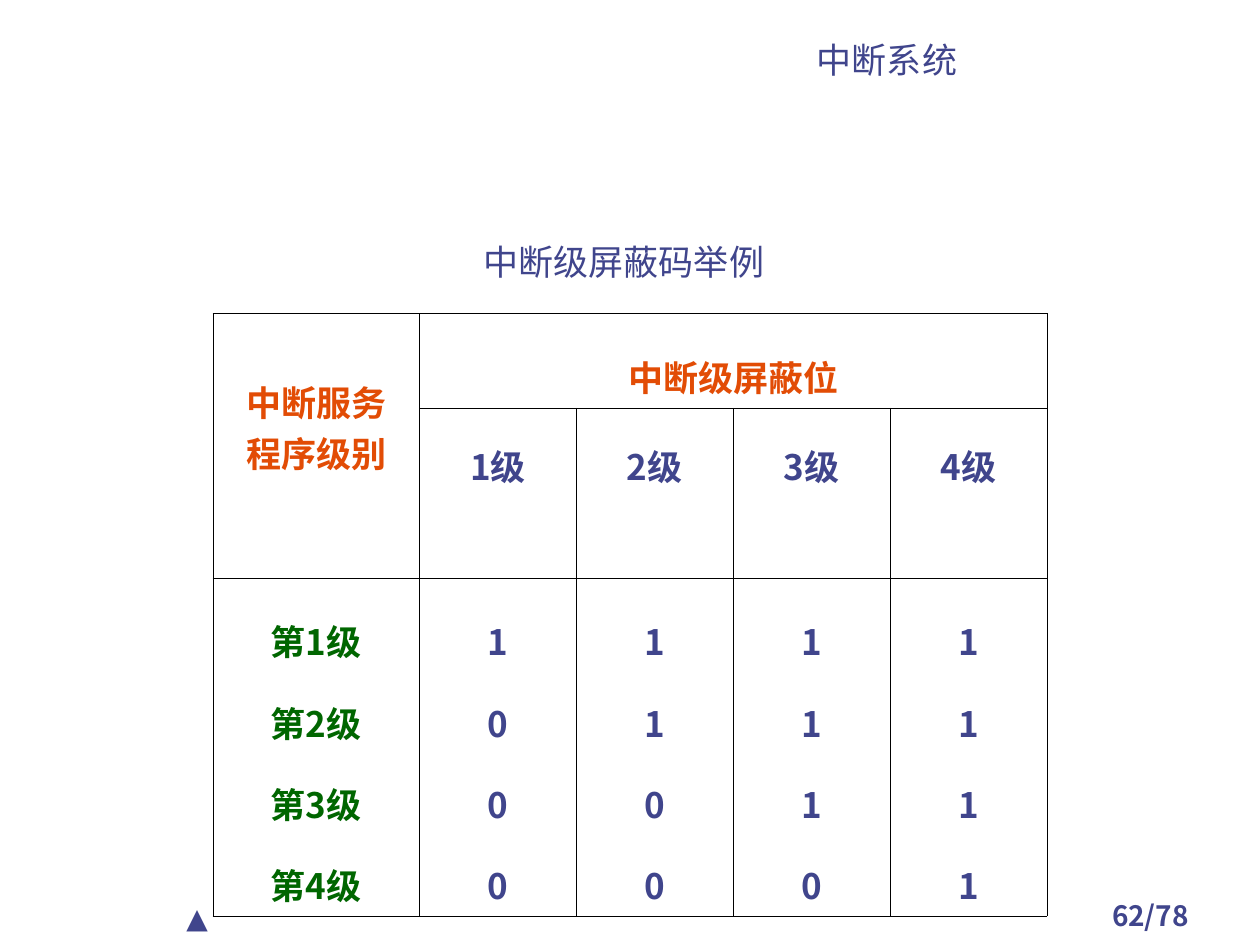
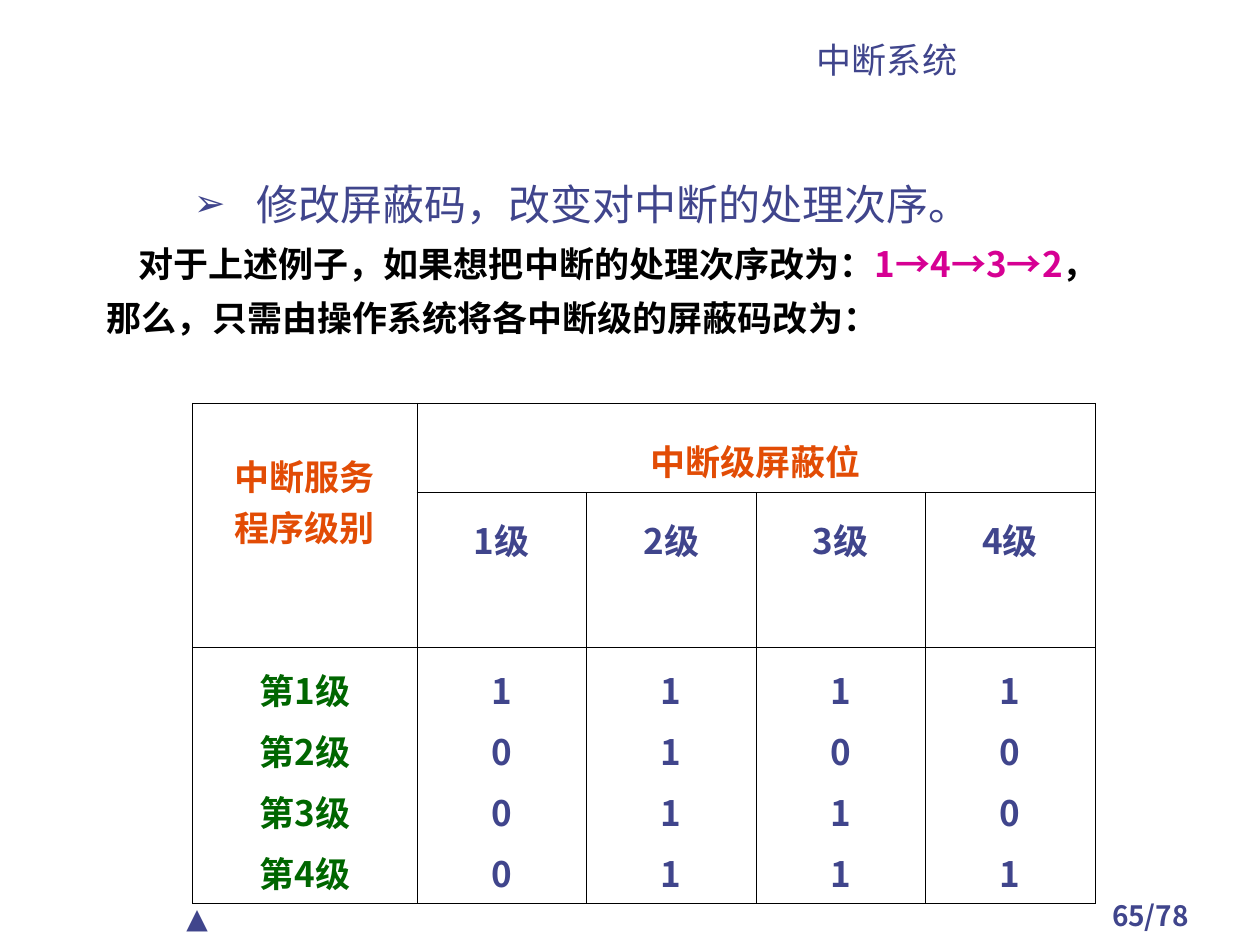
from lxml.etree import SubElement
from pptx import Presentation
from pptx.dml.color import RGBColor
from pptx.enum.text import MSO_ANCHOR, PP_ALIGN
from pptx.oxml.ns import qn
from pptx.util import Inches, Pt

INDIGO = RGBColor(0x40, 0x45, 0x8C)
ORANGE = RGBColor(0xE2, 0x4C, 0x05)
GREEN = RGBColor(0x00, 0x66, 0x00)
MAGENTA = RGBColor(0xD6, 0x00, 0x93)
BLACK = RGBColor(0x00, 0x00, 0x00)
LIGHT_FONT = "Karla"
BOLD_FONT = "Noto Sans CJK SC"
PAGE_TOTAL = 78
LEVELS = (1, 2, 3, 4)
GRID_LINE = 0.45


def add_text(tf, text, size=20, color=INDIGO, bold=False, align=PP_ALIGN.LEFT,
             spacing=1.0, before=0, left=0, indent=0):
    p = tf.paragraphs[0]
    if p.runs:
        p = tf.add_paragraph()
    p.alignment = align
    p.line_spacing = spacing
    p.space_before = Pt(before)
    pPr = p._p.get_or_add_pPr()
    pPr.set("marL", str(Inches(left)))
    pPr.set("indent", str(Inches(indent)))
    for part, part_color in [(text, color)] if isinstance(text, str) else text:
        r = p.add_run()
        r.text = part
        r.font.size = Pt(size)
        r.font.bold = bold
        r.font.color.rgb = part_color
        r.font.name = BOLD_FONT if bold else LIGHT_FONT
        SubElement(r._r.get_or_add_rPr(), qn("a:ea"), typeface=r.font.name)
    return p


def add_box(slide, left, top, width, height, anchor=MSO_ANCHOR.TOP):
    sp = slide.shapes.add_textbox(Inches(left), Inches(top), Inches(width), Inches(height))
    tf = sp.text_frame
    tf.word_wrap = True
    tf.vertical_anchor = anchor
    return tf


def set_bullet(p, char, color, percent):
    pPr = p._p.get_or_add_pPr()
    SubElement(SubElement(pPr, qn("a:buClr")), qn("a:srgbClr"), val=str(color))
    SubElement(pPr, qn("a:buSzPct"), val=str(percent * 1000))
    SubElement(pPr, qn("a:buFont"), typeface=LIGHT_FONT)
    SubElement(pPr, qn("a:buChar"), char=char)


def style_cell(cell):
    tcPr = cell._tc.get_or_add_tcPr()
    for side in "LRTB":
        ln = SubElement(tcPr, qn(f"a:ln{side}"), w=str(Pt(GRID_LINE)))
        SubElement(SubElement(ln, qn("a:solidFill")), qn("a:srgbClr"), val=str(BLACK))
    cell.fill.background()


def add_mask_table(slide, left, top, width, first_width, heights, masks,
                   corner_spacing, group_spacing, level_spacing, body_spacing):
    columns = len(LEVELS) + 1
    frame = slide.shapes.add_table(len(heights), columns, Inches(left), Inches(top),
                                   Inches(width), Inches(sum(heights)))
    table = frame.table
    table.first_row = table.horz_banding = False
    for row, height in zip(table.rows, heights):
        row.height = Inches(height)
    for i, column in enumerate(table.columns):
        column.width = Inches((width - first_width) / len(LEVELS) if i else first_width)
    for cell in table.iter_cells():
        style_cell(cell)
    table.cell(0, 0).merge(table.cell(1, 0))
    table.cell(0, 1).merge(table.cell(0, columns - 1))

    def fill(row, col, lines, spacing, color=INDIGO):
        for line in lines:
            add_text(table.cell(row, col).text_frame, line, color=color, bold=True,
                     align=PP_ALIGN.CENTER, spacing=spacing)

    fill(0, 0, ["中断服务"], corner_spacing, ORANGE)
    fill(0, 0, ["程序级别"], 1.0, ORANGE)
    fill(0, 1, ["中断级屏蔽位"], group_spacing, ORANGE)
    fill(2, 0, [f"第{n}级" for n in LEVELS], body_spacing, GREEN)
    for col, (n, bits) in enumerate(zip(LEVELS, zip(*masks)), start=1):
        fill(1, col, [f"{n}级"], level_spacing)
        fill(2, col, bits, body_spacing)


def add_base_slide(prs, page):
    slide = prs.slides.add_slide(prs.slide_layouts[6])
    add_text(add_box(slide, 8.42, 7.08, 1.42, 0.33), f"{page}/{PAGE_TOTAL}",
             size=16, bold=True, align=PP_ALIGN.CENTER)
    add_text(add_box(slide, 1.38, 7.1, 1.42, 0.37), "▲", size=16)
    add_text(add_box(slide, 4.25, 0.27, 5.58, 0.42, MSO_ANCHOR.BOTTOM), "中断系统",
             align=PP_ALIGN.CENTER)
    return slide


def add_order_text(slide, left, top, width, height):
    tf = add_box(slide, left, top, width, height)
    p = add_text(tf, "修改屏蔽码，改变对中断的处理次序。", size=24,
                 spacing=1.1, before=6, left=1.19, indent=-0.5)
    set_bullet(p, "➢", INDIGO, 90)
    order = [("对于上述例子，如果想把中断的处理次序改为：", BLACK),
             ("1→4→3→2", MAGENTA), ("，", BLACK)]
    add_text(tf, order, bold=True, spacing=1.1, before=5, left=0.5, indent=-0.25)
    add_text(tf, "那么，只需由操作系统将各中断级的屏蔽码改为：", color=BLACK, bold=True,
             spacing=1.1, before=5, left=0.5, indent=-0.5)


def build_example_slide(prs):
    slide = add_base_slide(prs, 62)
    add_mask_table(slide, 1.69, 2.49, 6.62, 1.64, (0.75, 1.35, 2.68),
                   ("1111", "0111", "0011", "0001"),
                   corner_spacing=2.1, group_spacing=1.6,
                   level_spacing=1.5, body_spacing=1.6)
    add_text(add_box(slide, 3.74, 1.86, 2.68, 0.44), "中断级屏蔽码举例")


def build_reorder_slide(prs):
    slide = add_base_slide(prs, 65)
    add_order_text(slide, 0.75, 1.33, 8.35, 1.47)
    add_mask_table(slide, 1.53, 3.2, 7.16, 1.78, (0.71, 1.23, 2.03),
                   ("1111", "0100", "0110", "0111"),
                   corner_spacing=1.8, group_spacing=1.5,
                   level_spacing=1.3, body_spacing=1.2)


def main():
    prs = Presentation()
    prs.slide_width = Inches(10)
    prs.slide_height = Inches(7.5)
    build_example_slide(prs)
    build_reorder_slide(prs)
    prs.save("out.pptx")


if __name__ == "__main__":
    main()
